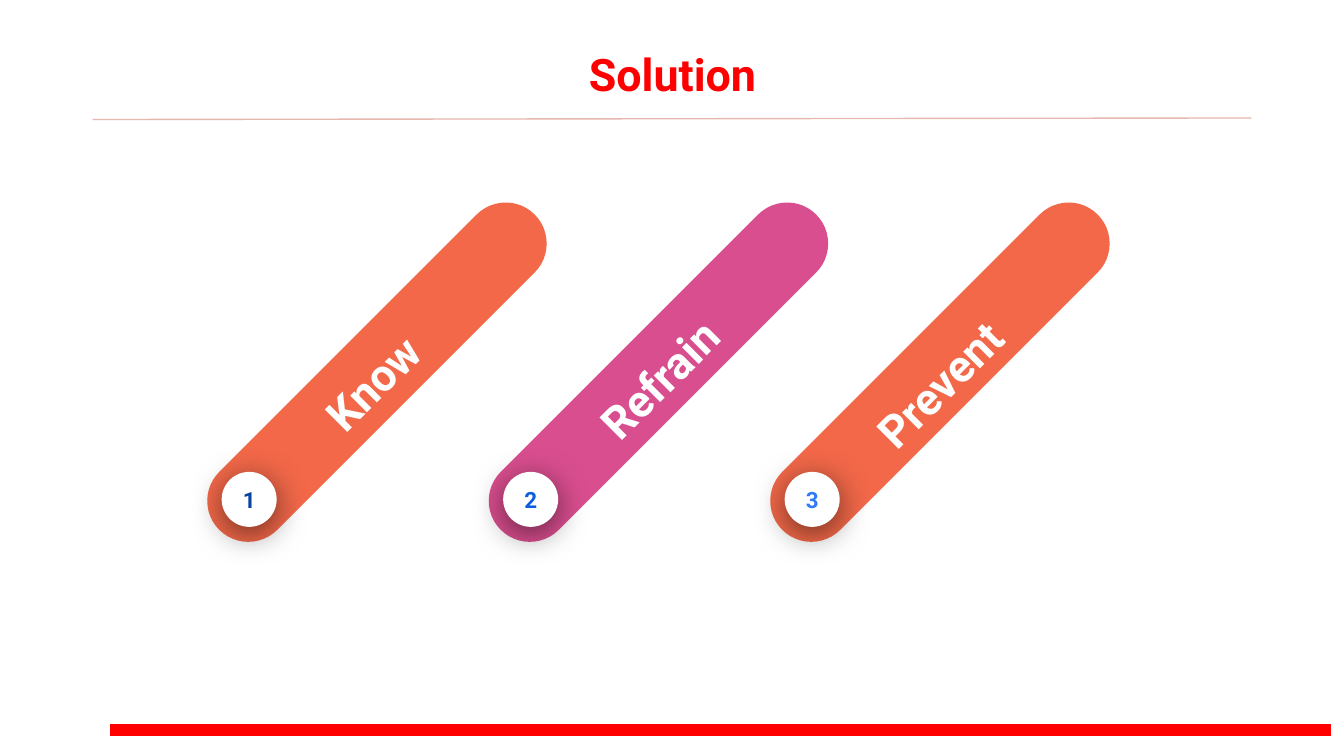
"""Build the Solution slide with three numbered diagonal bars."""
from lxml.etree import SubElement
from pptx import Presentation
from pptx.dml.color import RGBColor
from pptx.enum.shapes import MSO_CONNECTOR, MSO_SHAPE
from pptx.enum.text import MSO_ANCHOR, PP_ALIGN
from pptx.oxml import parse_xml
from pptx.oxml.ns import nsdecls, qn
from pptx.util import Cm, Pt

COLORS = {"red": "FF0000", "rule": "E6B8AF", "white": "FFFFFF",
          "orange": "F26849", "pink": "D94E8F",
          "navy": "0944A1", "blue": "0D5DDF", "sky": "307BF3"}
SHADOW = (f'<a:effectLst {nsdecls("a")}>'
          f'<a:outerShdw blurRad="{Pt(18)}" dist="{Pt(4)}" dir="5400000" algn="bl" rotWithShape="0">'
          '<a:srgbClr val="000000"><a:alpha val="55000"/></a:srgbClr>'
          '</a:outerShdw></a:effectLst>')


def add_filled(shapes, kind, left, top, width, height, color):
    sp = shapes.add_shape(kind, Cm(left), Cm(top), Cm(width), Cm(height))
    sp.shadow.inherit = False
    sp.fill.solid()
    sp.fill.fore_color.rgb = RGBColor.from_string(COLORS[color])
    sp.line.fill.background()
    return sp


def write(sp, text, size, color, align, anchor=MSO_ANCHOR.MIDDLE):
    tf = sp.text_frame
    tf.word_wrap = True
    tf.vertical_anchor = anchor
    tf.margin_left = tf.margin_right = tf.margin_top = tf.margin_bottom = Cm(0.25)
    p = tf.paragraphs[0]
    p.alignment = align
    r = p.add_run()
    r.text = text
    r.font.name = "Roboto"
    r.font.size = Pt(size)
    r.font.bold = True
    r.font.color.rgb = RGBColor.from_string(COLORS[color])
    return p


prs = Presentation()
prs.slide_width, prs.slide_height = Cm(25.4), Cm(14.29)
s = prs.slides.add_slide(prs.slide_layouts[6])

footer = add_filled(s.shapes, MSO_SHAPE.RECTANGLE, 2.06, 13.67, 23.11, 0.25, "red")
footer.line.color.rgb = RGBColor.from_string(COLORS["white"])
footer.line.width = Pt(0.75)

title = s.shapes.add_textbox(Cm(9.27), Cm(0.64), Cm(6.88), Cm(1.55))
write(title, "Solution", 24, "red", PP_ALIGN.CENTER, MSO_ANCHOR.TOP)

rule = s.shapes.add_connector(MSO_CONNECTOR.STRAIGHT, Cm(1.75), Cm(2.26), Cm(23.65), Cm(2.23))
rule.line.color.rgb = RGBColor.from_string(COLORS["rule"])
rule.line.width = Pt(0.75)
SubElement(rule._element.spPr, qn("a:effectLst"))

steps = [("Know", "orange", "navy", 5.61, 6.48, 3.05),
         ("Refrain", "pink", "blue", 10.74, 6.48, 3.48),
         ("Prevent", "orange", "sky", 15.95, 6.6, 3.61)]
for i, (name, bar_color, number_color, left, top, width) in enumerate(steps):
    x = 6.35 + 5.32 * i
    shapes = s.shapes.add_group_shape().shapes

    bar = add_filled(shapes, MSO_SHAPE.ROUNDED_RECTANGLE, x, 2.82, 1.55, 8.43, bar_color)
    bar.adjustments[0] = 0.5
    bar.rotation = 45

    badge = add_filled(shapes, MSO_SHAPE.OVAL, x - 2.16, 8.92, 1.04, 1.04, "white")
    spPr = badge._element.spPr
    spPr.replace(spPr.find(qn("a:effectLst")), parse_xml(SHADOW))
    write(badge, str(i + 1), 12, number_color, PP_ALIGN.CENTER)

    label = shapes.add_textbox(Cm(left), Cm(top), Cm(width), Cm(1.09))
    label.rotation = 315
    p = write(label, name, 24, "white", PP_ALIGN.LEFT)
    p.line_spacing = 1.15

prs.save("out.pptx")
